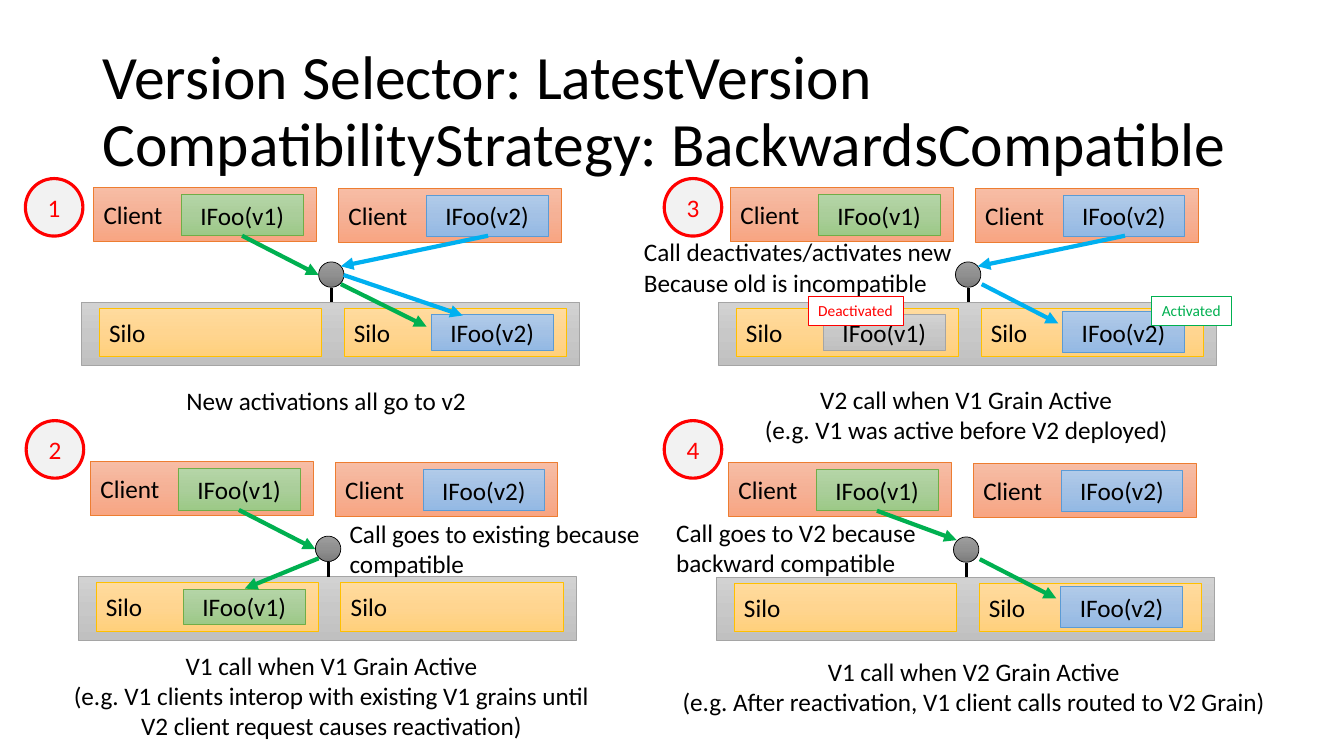
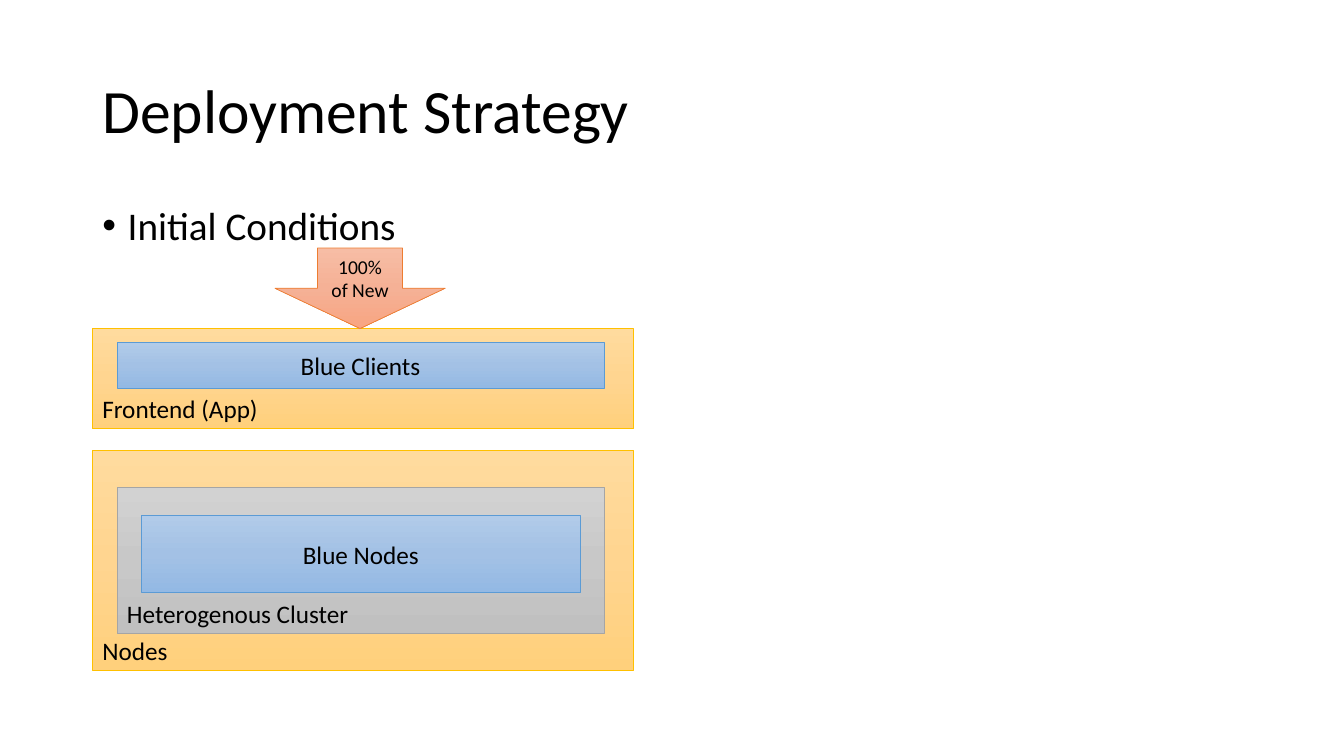
from copy import deepcopy
from dataclasses import dataclass

from lxml.etree import SubElement
from pptx import Presentation
from pptx.dml.color import RGBColor
from pptx.enum.shapes import MSO_CONNECTOR as Conn, MSO_SHAPE as Geo
from pptx.enum.text import MSO_ANCHOR as Anchor, MSO_AUTO_SIZE as Fit, PP_ALIGN as Align
from pptx.oxml.ns import qn
from pptx.util import Cm, Pt

FONT = "Calibri"
COLORS = {
    "black": "000000", "white": "FFFFFF", "pale": "F2F2F2",
    "red": "FF0000", "green": "00B050", "blue": "00B0F0",
}
# Top, middle and bottom of the gradient, then the outline
GRADIENTS = {
    "gray": ("D2D2D2", "C8C8C8", "C0C0C0", "A5A5A5"),
    "gold": ("FFDB9E", "FFD590", "FFD07C", "FFC000"),
    "orange": ("F7BDA5", "F5B196", "F8A582", "ED7D31"),
    "green": ("B5D5A7", "AACE9A", "9CC987", "70AD47"),
    "blue": ("B1CBE9", "A3C1E5", "93B9E4", "5B9BD5"),
    "dark": ("9D9D9D", "909090", "7C7C7C", "000000"),
}


@dataclass(frozen=True)
class Box:
    """A rectangle in centimetres."""
    x: float
    y: float
    w: float
    h: float

    def moved(self, dx: float, dy: float) -> "Box":
        return Box(self.x + dx, self.y + dy, self.w, self.h)

    def lengths(self) -> tuple:
        return Cm(self.x), Cm(self.y), Cm(self.w), Cm(self.h)


@dataclass(frozen=True)
class Grain:
    text: str
    theme: str
    box: Box


@dataclass(frozen=True)
class Arrow:
    color: str
    start: tuple[float, float]
    end: tuple[float, float]


@dataclass(frozen=True)
class Note:
    lines: tuple[str, ...]
    box: Box
    align: Align = Align.LEFT


@dataclass(frozen=True)
class Tag:
    text: str
    color: str
    box: Box


@dataclass(frozen=True)
class Panel:
    """One scenario; grains and arrows are measured from its cluster's corner."""
    x: float
    y: float
    badge: Box
    grains: tuple[Grain, ...]
    arrows: tuple[Arrow, ...]
    notes: tuple[Note, ...]
    tags: tuple[Tag, ...] = ()


CLUSTER = Box(0, 0, 12.55, 1.6)
SILO = Box(0.44, 0.15, 5.6, 1.22)
CLIENT = Box(0.3, -2.9, 5.61, 1.37)
CLIENT_GRAIN = Box(2.51, -2.72, 3.07, 1.04)
HUB = Box(5.97, -1.02, 0.64, 0.64)
STEM_X, STEM_TOP = 6.29, -0.36
PITCH = 6.17
LEFT_GRAIN = Box(2.64, 0.31, 3.07, 0.89)
RIGHT_GRAIN = LEFT_GRAIN.moved(PITCH, 0)
RIGHT_TALL_GRAIN = Box(8.67, 0.23, 3.07, 1.04)
V1_TO_HUB = Arrow("green", (4.04, -1.68), (5.97, -0.69))
V2_TO_HUB = Arrow("blue", (10.24, -1.68), (6.53, -0.91))
HUB_TO_RIGHT = (6.63, -0.46), (8.56, 0.53)

PANELS = (
    Panel(
        2.06, 7.62, Box(0.64, 4.5, 1.45, 1.45),
        (Grain("IFoo(v2)", "blue", RIGHT_GRAIN),),
        (V1_TO_HUB, Arrow("green", (6.53, -0.46), (8.69, 0.61)),
         V2_TO_HUB, Arrow("blue", (6.6, -0.69), (9.6, 0.33))),
        (Note(("New activations all go to v2",), Box(4.45, 9.58, 7.65, 1.02)),),
    ),
    Panel(
        1.98, 14.53, Box(0.66, 10.6, 1.45, 1.45),
        (Grain("IFoo(v1)", "green", LEFT_GRAIN),),
        (V1_TO_HUB, Arrow("green", (6.05, -0.46), (4.19, 0.3))),
        (Note(("V1 call when V1 Grain Active",
               "(e.g. V1 clients interop with existing V1 grains until",
               "V2 client request causes reactivation)"),
              Box(1.52, 16.26, 13.67, 2.57), Align.CENTER),
         Note(("Call goes to existing because", "compatible"),
              Box(8.56, 12.93, 7.92, 1.8))),
    ),
    Panel(
        18.11, 7.62, Box(16.74, 4.5, 1.45, 1.45),
        (Grain("IFoo(v1)", "gray", LEFT_GRAIN),
         Grain("IFoo(v2)", "blue", RIGHT_TALL_GRAIN)),
        (V2_TO_HUB, Arrow("blue", *HUB_TO_RIGHT)),
        (Note(("V2 call when V1 Grain Active",
               "(e.g. V1 was active before V2 deployed)"),
              Box(18.95, 9.55, 10.8, 1.8), Align.CENTER),
         Note(("Call deactivates/activates new", "Because old is incompatible"),
              Box(15.98, 5.84, 8.36, 1.8))),
        (Tag("Deactivated", "red", Box(20.37, 7.47, 2.41, 0.74)),
         Tag("Activated", "green", Box(29.03, 7.47, 2.01, 0.74))),
    ),
    Panel(
        18.06, 14.55, Box(16.74, 10.6, 1.45, 1.45),
        (Grain("IFoo(v2)", "blue", RIGHT_TALL_GRAIN),),
        (Arrow("green", (4.04, -1.68), (6.05, -0.94)), Arrow("green", *HUB_TO_RIGHT)),
        (Note(("V1 call when V2 Grain Active",
               "(e.g. After reactivation, V1 client calls routed to V2 Grain)"),
              Box(16.74, 16.41, 15.6, 1.8), Align.CENTER),
         Note(("Call goes to V2 because", "backward compatible"),
              Box(16.79, 12.9, 6.63, 1.8))),
    ),
)


def rgb(name: str) -> RGBColor:
    return RGBColor.from_string(COLORS[name])


def add_run(p, text: str, size: float, color: str = "black") -> None:
    r = p.add_run()
    r.text = text
    r.font.name, r.font.size = FONT, Pt(size)
    r.font.color.rgb = rgb(color)


def write(tf, lines: tuple[str, ...], size: float = 18, color: str = "black",
          align: Align = Align.LEFT, anchor: Anchor = Anchor.MIDDLE) -> None:
    """Fill a text frame with one paragraph per line."""
    tf.word_wrap = True
    tf.vertical_anchor = anchor
    for i, line in enumerate(lines):
        p = tf.paragraphs[0] if i == 0 else tf.add_paragraph()
        p.alignment = align
        add_run(p, line, size, color)


def shrink_wrap(tf) -> None:
    tf.word_wrap = False
    tf.auto_size = Fit.SHAPE_TO_FIT_TEXT


def add_gradient(s, box: Box, theme: str, geo: Geo = Geo.RECTANGLE):
    sp = s.shapes.add_shape(geo, *box.lengths())
    sp.shadow.inherit = False
    *stops, outline = GRADIENTS[theme]
    sp.fill.gradient()
    sp.fill.gradient_angle = 270
    gs_list = sp._element.spPr.find(qn("a:gradFill")).find(qn("a:gsLst"))
    gs_list.insert(1, deepcopy(gs_list[0]))
    for stop, color, position in zip(sp.fill.gradient_stops, stops, (0, 0.5, 1)):
        stop.color.rgb = RGBColor.from_string(color)
        stop.position = position
    sp.line.color.rgb = RGBColor.from_string(outline)
    sp.line.width = Pt(0.5)
    return sp


def add_solid(s, box: Box, fill: str, outline: str, width: float,
              geo: Geo = Geo.RECTANGLE):
    sp = s.shapes.add_shape(geo, *box.lengths())
    sp.shadow.inherit = False
    sp.fill.solid()
    sp.fill.fore_color.rgb = rgb(fill)
    sp.line.color.rgb = rgb(outline)
    sp.line.width = Pt(width)
    return sp


def add_line(s, start: tuple[float, float], end: tuple[float, float],
             color: str, width: float, arrow: bool = False) -> None:
    ends = [Cm(v) for v in (*start, *end)]
    cn = s.shapes.add_connector(Conn.STRAIGHT, *ends)
    cn.line.color.rgb = rgb(color)
    cn.line.width = Pt(width)
    if arrow:
        SubElement(cn.line._get_or_add_ln(), qn("a:tailEnd"), type="triangle")
    SubElement(cn._element.spPr, qn("a:effectLst"))


def add_title(s, *lines: str) -> None:
    tf = s.shapes.add_textbox(*Box(2.33, 1.01, 29.21, 3.68).lengths()).text_frame
    tf.word_wrap = True
    tf.vertical_anchor = Anchor.MIDDLE
    p = tf.paragraphs[0]
    p.line_spacing = 0.9
    for i, line in enumerate(lines):
        if i:
            p.add_line_break()
        add_run(p, line, 44)


def add_bullet(s, text: str) -> None:
    tf = s.shapes.add_textbox(*Box(2.33, 5.07, 29.21, 12.09).lengths()).text_frame
    tf.word_wrap = True
    p = tf.paragraphs[0]
    p.line_spacing, p.space_before = 0.9, Pt(10)
    pPr = p._p.get_or_add_pPr()
    pPr.set("marL", str(Cm(0.64)))
    pPr.set("indent", str(-Cm(0.64)))
    SubElement(pPr, qn("a:buFont"), typeface="Arial")
    SubElement(pPr, qn("a:buChar"), char="•")
    add_run(p, text, 28)


def add_block(s, box: Box, theme: str, *lines: str, size: float = 18,
              align: Align = Align.CENTER, anchor: Anchor = Anchor.MIDDLE,
              geo: Geo = Geo.RECTANGLE) -> None:
    """Draw a labelled gradient shape."""
    write(add_gradient(s, box, theme, geo).text_frame, lines, size,
          align=align, anchor=anchor)


def add_panel(s, panel: Panel) -> None:
    x, y = panel.x, panel.y
    add_gradient(s, CLUSTER.moved(x, y), "gray")
    for i, (version, theme) in enumerate((("IFoo(v1)", "green"), ("IFoo(v2)", "blue"))):
        dx, dy = x + i * PITCH, y + i * 0.02
        add_block(s, SILO.moved(dx, y), "gold", "Silo", align=Align.LEFT)
        add_block(s, CLIENT.moved(dx, dy), "orange", "Client", align=Align.LEFT)
        add_block(s, CLIENT_GRAIN.moved(dx, dy), theme, version)
    for grain in panel.grains:
        add_block(s, grain.box.moved(x, y), grain.theme, grain.text)
    add_gradient(s, HUB.moved(x, y), "dark", Geo.OVAL)
    add_line(s, (x + STEM_X, y + STEM_TOP), (x + STEM_X, y), "black", 2.25)
    for a in panel.arrows:
        add_line(s, (x + a.start[0], y + a.start[1]), (x + a.end[0], y + a.end[1]),
                 a.color, 3, arrow=True)
    for tag in panel.tags:
        tf = add_solid(s, tag.box, "white", tag.color, 0.75).text_frame
        write(tf, (tag.text,), 11, tag.color, anchor=Anchor.TOP)
        shrink_wrap(tf)
    for note in panel.notes:
        tf = s.shapes.add_textbox(*note.box.lengths()).text_frame
        write(tf, note.lines, align=note.align, anchor=Anchor.TOP)
        shrink_wrap(tf)


def version_slide(s) -> None:
    add_title(s, "Version Selector: LatestVersion",
              "CompatibilityStrategy: BackwardsCompatible")
    for number, panel in enumerate(PANELS, 1):
        add_panel(s, panel)
        badge = add_solid(s, panel.badge, "pale", "red", 2.25, Geo.OVAL)
        write(badge.text_frame, (str(number),), color="red", align=Align.CENTER)


def deployment_slide(s) -> None:
    corner = {"align": Align.LEFT, "anchor": Anchor.BOTTOM}
    add_block(s, Box(2.33, 11.35, 13.64, 5.54), "gold", "Nodes", **corner)
    add_title(s, "Deployment Strategy")
    add_bullet(s, "Initial Conditions")
    add_block(s, Box(2.95, 12.29, 12.27, 3.68), "gray", "Heterogenous Cluster", **corner)
    add_block(s, Box(2.33, 8.28, 13.64, 2.52), "gold", "Frontend (App)", **corner)
    add_block(s, Box(2.95, 8.64, 12.27, 1.14), "blue", "Blue Clients")
    add_block(s, Box(3.57, 12.98, 11.05, 1.96), "blue", "Blue Nodes")
    add_block(s, Box(6.93, 6.25, 4.29, 2.03), "orange", "100%", "of New",
              size=14, geo=Geo.DOWN_ARROW)


def main() -> None:
    prs = Presentation()
    prs.slide_width, prs.slide_height = Cm(33.87), Cm(19.05)
    for build in (version_slide, deployment_slide):
        build(prs.slides.add_slide(prs.slide_layouts[6]))
    prs.save("out.pptx")


if __name__ == "__main__":
    main()
